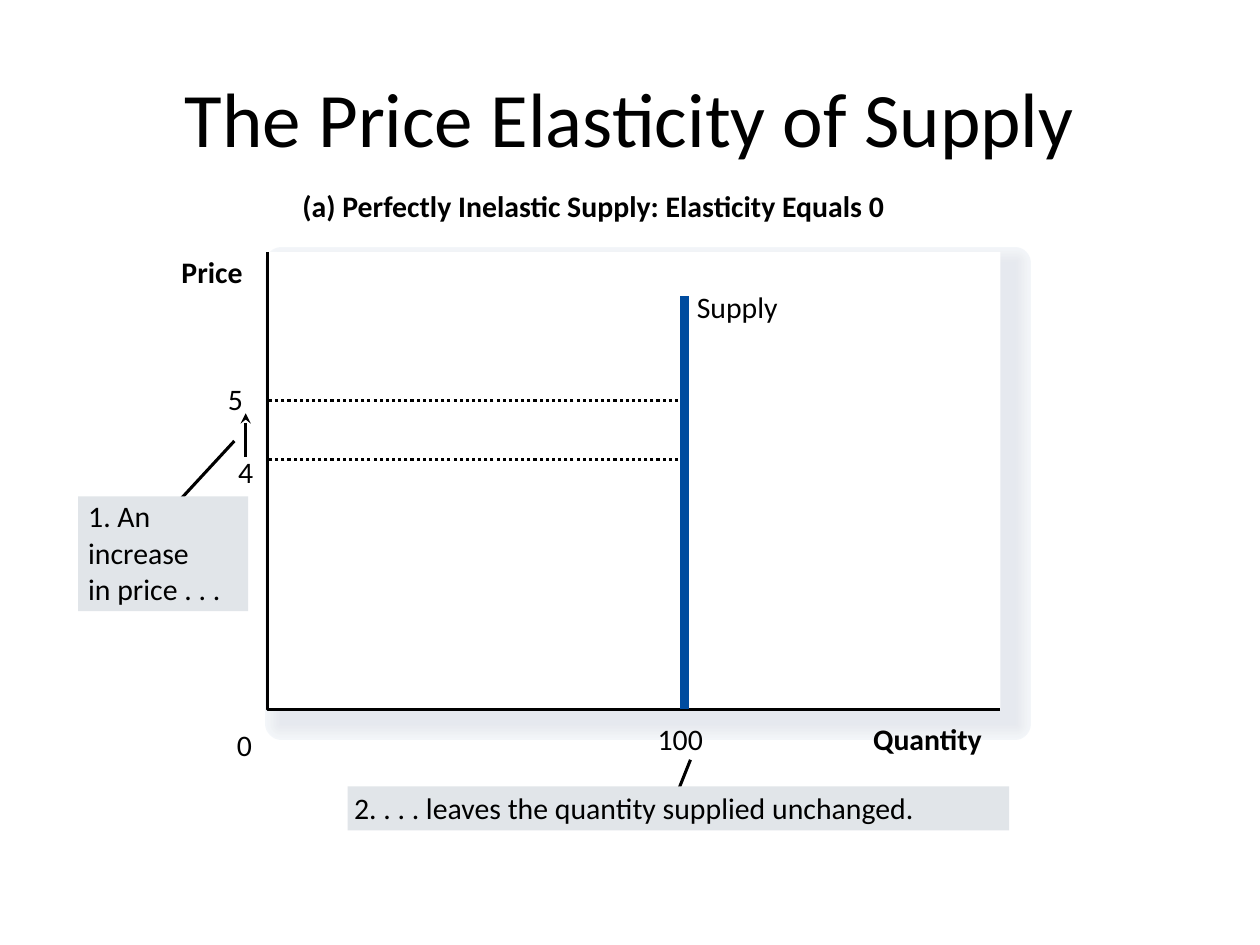
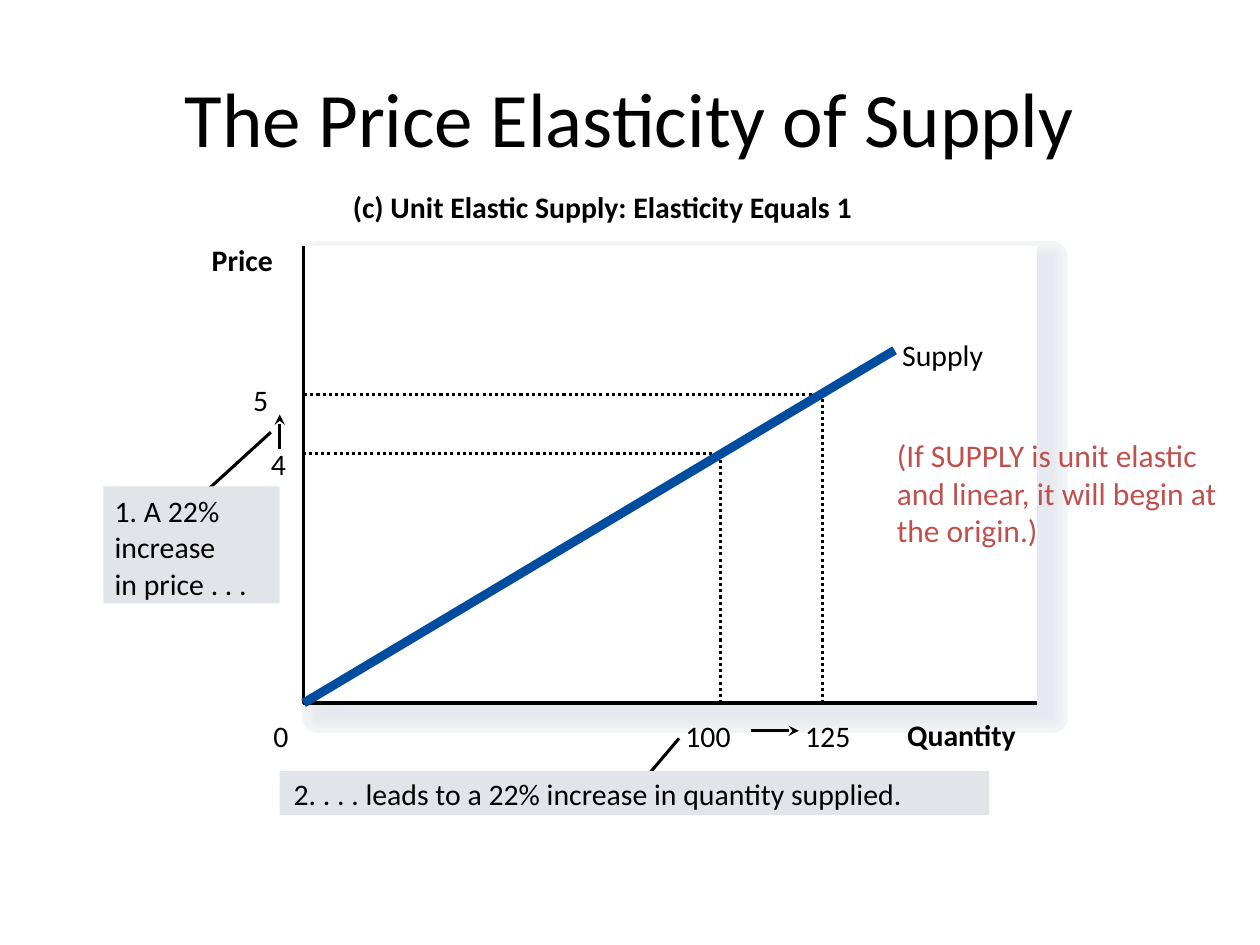
from dataclasses import dataclass

from lxml.etree import SubElement
from pptx import Presentation
from pptx.dml.color import RGBColor
from pptx.enum.dml import MSO_LINE
from pptx.enum.shapes import MSO_CONNECTOR, MSO_SHAPE
from pptx.enum.text import MSO_ANCHOR, MSO_AUTO_SIZE, PP_ALIGN
from pptx.oxml.ns import qn
from pptx.util import Inches, Pt


@dataclass(frozen=True)
class Theme:
    font: str = "Calibri"
    ink: str = "000000"
    paper: str = "FFFFFF"
    supply: str = "004C9F"
    callout: str = "E1E5E9"
    remark: str = "C0504D"
    shadow: tuple = ("F3F6F9", "F2F4F8", "F1F4F7", "F0F2F5", "EEF1F4", "EDEFF3",
                     "EBEEF2", "EAECF1", "E9EBF0", "E7EAEF", "E6E9EF")
    title_size: int = 44
    label_size: int = 17
    remark_size: int = 18
    thin: float = 1.75
    thick: float = 5.13
    shadow_step: float = 1.7


COLUMNS, ROWS = 100, 75
PLOT_WIDTH, PLOT_HEIGHT = 58.2, 36.3
LABEL_HEIGHT, LINE_PITCH = 2.8, 2.9


class SupplyPage:
    """One slide; every length is in columns across and rows down."""

    def __init__(self, deck, theme):
        self.theme = theme
        self.page = deck.slides.add_slide(deck.slide_layouts[6])
        self.column = deck.slide_width / COLUMNS
        self.row = deck.slide_height / ROWS

    def place(self, across, down):
        return round(across * self.column), round(down * self.row)

    def style_line(self, shape, color, width, dotted=False):
        shape.line.color.rgb = RGBColor.from_string(color)
        shape.line.width = Pt(width)
        if dotted:
            shape.line.dash_style = MSO_LINE.ROUND_DOT

    def rect(self, left, top, width, height, color, border=0):
        shape = self.page.shapes.add_shape(
            MSO_SHAPE.RECTANGLE, *self.place(left, top), *self.place(width, height))
        shape.shadow.inherit = False
        shape.fill.solid()
        shape.fill.fore_color.rgb = RGBColor.from_string(color)
        if border:
            self.style_line(shape, color, border)
        else:
            shape.line.fill.background()

    def line(self, start, end, color=None, width=None, dotted=False, arrow=False):
        """Draw a straight line; an arrow has its head at the start."""
        connector = self.page.shapes.add_connector(
            MSO_CONNECTOR.STRAIGHT, *self.place(*start), *self.place(*end))
        self.style_line(connector, color or self.theme.ink, width or self.theme.thin, dotted)
        if arrow:
            SubElement(connector.line._get_or_add_ln(), qn("a:headEnd"), type="stealth")
        SubElement(connector._element.spPr, qn("a:effectLst"))

    def bent_line(self, start, corner, end, dotted=False):
        builder = self.page.shapes.build_freeform(*self.place(*start))
        builder.add_line_segments([self.place(*corner), self.place(*end)], close=False)
        shape = builder.convert_to_shape()
        shape.shadow.inherit = False
        shape.fill.background()
        self.style_line(shape, self.theme.ink, self.theme.thin, dotted)

    def text(self, words, left, top, width, height, size, color=None, bold=False):
        box = self.page.shapes.add_textbox(*self.place(left, top), *self.place(width, height))
        frame = box.text_frame
        frame.word_wrap = True
        frame.text = words
        for para in frame.paragraphs:
            for span in para.runs:
                span.font.name = self.theme.font
                span.font.size = Pt(size)
                span.font.bold = bold
                span.font.color.rgb = RGBColor.from_string(color or self.theme.ink)
        return frame

    def title(self, words):
        frame = self.text(words, 5, 3, 90, 12.5, self.theme.title_size)
        frame.vertical_anchor = MSO_ANCHOR.MIDDLE
        frame.paragraphs[0].alignment = PP_ALIGN.CENTER

    def label(self, words, left, top, width, bold=False):
        frame = self.text(words, left, top, width, LABEL_HEIGHT, self.theme.label_size, bold=bold)
        frame.margin_left = frame.margin_right = frame.margin_top = frame.margin_bottom = 0
        frame.word_wrap = False
        frame.auto_size = MSO_AUTO_SIZE.SHAPE_TO_FIT_TEXT

    def remark(self, words, left, top, width, height):
        self.text(words, left, top, width, height, self.theme.remark_size, self.theme.remark)

    def plot(self, left, top):
        """Draw the soft shadow, the white plot area and its two axes."""
        layers = len(self.theme.shadow)
        for index, color in enumerate(self.theme.shadow):
            border = self.theme.thin + self.theme.shadow_step * (layers - 1 - index)
            self.rect(left + 1.15, top + 0.9, PLOT_WIDTH, PLOT_HEIGHT + 0.2, color, border)
        self.rect(left, top, PLOT_WIDTH, PLOT_HEIGHT, self.theme.paper)
        bottom = top + PLOT_HEIGHT
        self.bent_line((left, top), (left, bottom), (left + PLOT_WIDTH, bottom))

    def supply_curve(self, start, end):
        self.line(start, end, self.theme.supply, self.theme.thick)

    def callout(self, pointer, area, text_at, lines):
        """Draw a pointer line, a grey box over its end, and (words, width) lines."""
        self.line(*pointer)
        self.rect(*area, self.theme.callout)
        left, top = text_at
        for index, (words, width) in enumerate(lines):
            self.label(words, left, top + index * LINE_PITCH, width)


def start_page(deck, theme, heading, left, top):
    page = SupplyPage(deck, theme)
    page.title("The Price Elasticity of Supply")
    page.plot(left, top)
    page.label(*heading, bold=True)
    return page


def inelastic_page(deck, theme):
    left, top, quantity = 21.2, 20, 54.3
    bottom = top + PLOT_HEIGHT
    heading = ("(a) Perfectly Inelastic Supply: Elasticity Equals 0", 24, 14.9, 54.5)
    page = start_page(deck, theme, heading, left, top)
    for price in (31.8, 36.5):
        page.line((quantity, price), (left, price), dotted=True)
    page.line((19.5, 32.8), (19.5, 36.3), arrow=True)
    page.supply_curve((quantity, bottom), (quantity, 23.5))
    for label in (("5", 18.1, 30.2, 1.3), ("4", 18.9, 36, 1.3), ("Supply", 55.3, 22.9, 7.2),
                  ("100", 52.2, 57.2, 4), ("0", 18.8, 57.7, 1.3)):
        page.label(*label)
    page.label("Price", 14.4, 20.1, 5.8, bold=True)
    page.label("Quantity", 69.3, 57.2, 9.6, bold=True)
    page.callout(((13.8, 40.2), (18.6, 35)), (6.2, 39.4, 13.5, 9.1), (7, 39.5),
                 (("1. An", 5.5), ("increase", 8.9), ("in price . . .", 11.6)))
    page.callout(((54.8, 60.3), (53.6, 63.3)), (27.6, 62.4, 52.5, 3.5), (28.1, 62.7),
                 (("2. . . . leaves the quantity supplied unchanged.", 48.9),))


def unit_elastic_page(deck, theme):
    left, top = 24.1, 19.5
    bottom = top + PLOT_HEIGHT
    heading = ("(c) Unit Elastic Supply: Elasticity Equals 1", 28, 15, 47.2)
    page = start_page(deck, theme, heading, left, top)
    for quantity, price in ((65.3, 31.3), (57.2, 36)):
        page.bent_line((quantity, bottom), (quantity, price), (left, price), dotted=True)
    page.line((22.2, 32.9), (22.2, 35.6), arrow=True)
    page.line((63.4, 58), (59.6, 58), arrow=True)
    for label in (("5", 20.1, 30.3, 1.3), ("4", 21.5, 35.4, 1.3), ("100", 54.4, 57, 4),
                  ("125", 63.9, 57, 4), ("0", 21.7, 57, 1.3), ("Supply", 71.6, 26.7, 7.2)):
        page.label(*label)
    page.label("Price", 16.8, 19.2, 5.8, bold=True)
    page.label("Quantity", 72, 56.9, 9.6, bold=True)
    page.callout(((53.9, 58.6), (51.1, 61.9)), (22.2, 61.2, 56.3, 3.5), (23.3, 61.6),
                 (("2. . . . leads to a 22% increase in quantity supplied.", 54.1),))
    page.callout(((15.8, 39.5), (21.5, 34.3)), (8.2, 38.6, 14, 9.3), (9.1, 39.1),
                 (("1. A 22%", 9.6), ("increase", 8.9), ("in price . . .", 11.6)))
    page.supply_curve((71, 27.8), (left, bottom))
    page.remark("(If SUPPLY is unit elastic and linear, it will begin at the origin.)",
                70.2, 34.1, 27.6, 10)


def main():
    deck = Presentation()
    deck.slide_width, deck.slide_height = Inches(10), Inches(7.5)
    theme = Theme()
    inelastic_page(deck, theme)
    unit_elastic_page(deck, theme)
    deck.save("out.pptx")


if __name__ == "__main__":
    main()
